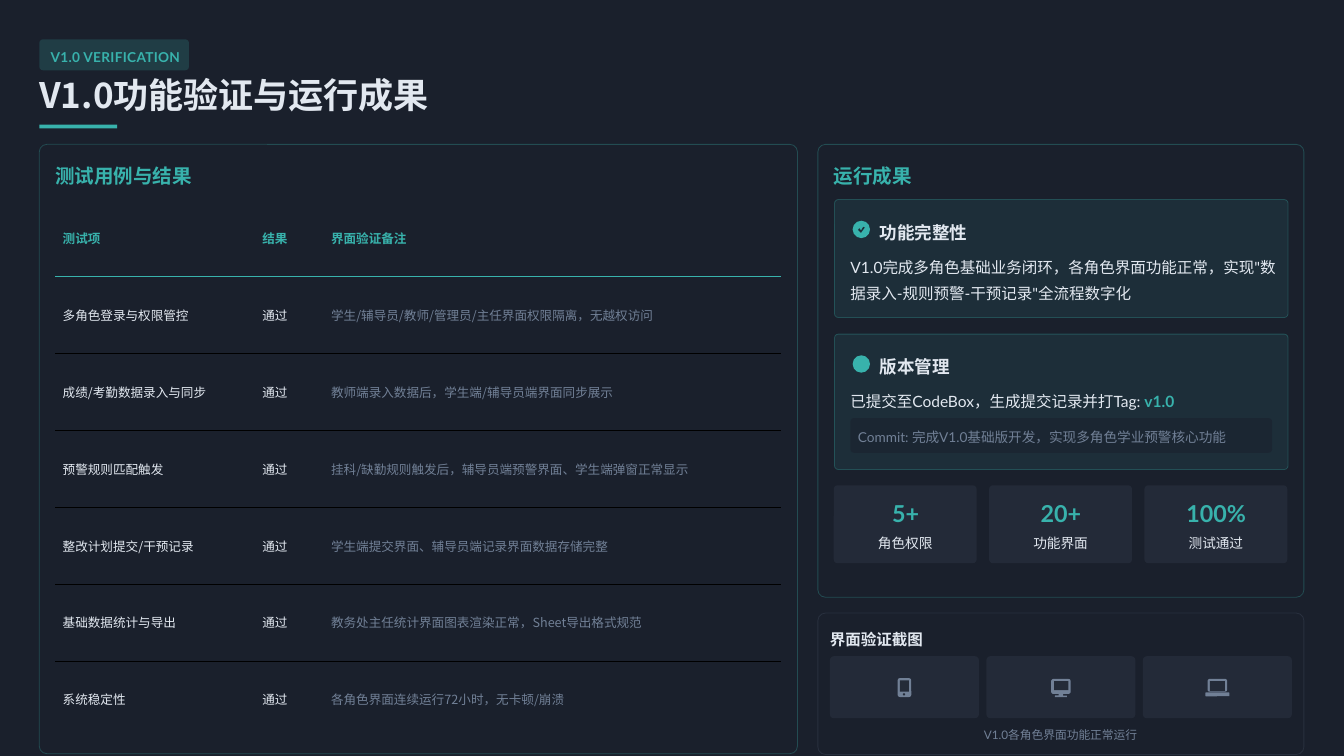
import pptx
import pptx.util
import pptx.dml.color
import pptx.enum.shapes
import pptx.enum.text
import pptx.oxml.ns
import lxml.etree
from pptx.util import Inches

SHAPES = pptx.enum.shapes.MSO_SHAPE
CENTER = pptx.enum.text.PP_ALIGN.CENTER
MIDDLE = pptx.enum.text.MSO_ANCHOR.MIDDLE
LATO, NOTO = "Lato", "Noto Sans CJK SC"
TEAL, LIGHT, MUTED, SLATE, NAVY = "38B2AC", "E2E8F0", "718096", "4A5568", "1A202C"
CARD_TINT, TILE_TINT = "1D2F39", "242B38"
NO_GRID_STYLE = "{2D5ABB26-0587-4C30-8999-92F81FD0307C}"

TESTS = [
    ("测试项", "结果", "界面验证备注"),
    ("多角色登录与权限管控", "通过", "学生/辅导员/教师/管理员/主任界面权限隔离，无越权访问"),
    ("成绩/考勤数据录入与同步", "通过", "教师端录入数据后，学生端/辅导员端界面同步展示"),
    ("预警规则匹配触发", "通过", "挂科/缺勤规则触发后，辅导员端预警界面、学生端弹窗正常显示"),
    ("整改计划提交/干预记录", "通过", "学生端提交界面、辅导员端记录界面数据存储完整"),
    ("基础数据统计与导出", "通过", "教务处主任统计界面图表渲染正常，Sheet导出格式规范"),
    ("系统稳定性", "通过", "各角色界面连续运行72小时，无卡顿/崩溃"),
]
TEST_COLUMNS = (2.64, 0.91, 6.05)
TEST_ROW = 1.017
PANELS = [
    (0.52, 1.91, 10.03, 8.06, TEAL),
    (10.82, 1.91, 6.43, 5.99, TEAL),
    (10.82, 8.11, 6.43, 1.87, SLATE),
]
PANEL_TITLES = [("测试用例与结果", 0.73, 9.74), ("运行成果", 11.03, 6.13)]
CARDS = [
    ("功能完整性", 2.64, 1.56, 0.67,
     [("V1.0完成多角色基础业务闭环，各角色界面功能正常，实现\"数据录入-规则预警-干预记录\"全流程数字化", None)]),
    ("版本管理", 4.42, 1.79, 0.33,
     [("已提交至CodeBox，生成提交记录并打Tag: ", None), ("v1.0", TEAL)]),
]
COMMIT = "Commit: 完成V1.0基础版开发，实现多角色学业预警核心功能"
STATS = [("5+", "角色权限"), ("20+", "功能界面"), ("100%", "测试通过")]
SCREENSHOTS = [
    [(SHAPES.ROUNDED_RECTANGLE, -0.09, 0, 0.18, 0.25, MUTED),
     (SHAPES.RECTANGLE, -0.06, 0.03, 0.12, 0.15, TILE_TINT),
     (SHAPES.OVAL, -0.02, 0.2, 0.03, 0.03, TILE_TINT)],
    [(SHAPES.ROUNDED_RECTANGLE, -0.13, 0.01, 0.26, 0.2, MUTED),
     (SHAPES.RECTANGLE, -0.09, 0.04, 0.19, 0.12, TILE_TINT),
     (SHAPES.RECTANGLE, -0.03, 0.2, 0.06, 0.04, MUTED),
     (SHAPES.ROUNDED_RECTANGLE, -0.08, 0.23, 0.16, 0.02, MUTED)],
    [(SHAPES.ROUNDED_RECTANGLE, -0.13, 0.01, 0.26, 0.17, MUTED),
     (SHAPES.RECTANGLE, -0.1, 0.04, 0.2, 0.13, TILE_TINT),
     (SHAPES.ROUNDED_RECTANGLE, -0.16, 0.19, 0.32, 0.05, MUTED)],
]


def rgb(value):
    return pptx.dml.color.RGBColor.from_string(value)


def paint(fill, color, alpha=100):
    fill.solid()
    fill.fore_color.rgb = rgb(color)
    if alpha < 100:
        node = fill._xPr.find(".//" + pptx.oxml.ns.qn("a:srgbClr"))
        lxml.etree.SubElement(node, pptx.oxml.ns.qn("a:alpha"), val=str(alpha * 1000))


def dress(shape, color=None, alpha=100, border=None):
    shape.shadow.inherit = False
    if color:
        paint(shape.fill, color, alpha)
    else:
        shape.fill.background()
    if border:
        shape.line.width = pptx.util.Pt(0.8)
        paint(shape.line.fill, border, 30)
    else:
        shape.line.fill.background()


def block(kind, left, top, width, height, color=None, alpha=100, border=None, radius=None):
    shape = slide.shapes.add_shape(kind, Inches(left), Inches(top), Inches(width), Inches(height))
    if radius:
        shape.adjustments[0] = radius / min(width, height)
    dress(shape, color, alpha, border)


def rounded(left, top, width, height, color=None, alpha=100, border=None, radius=0.05):
    block(SHAPES.ROUNDED_RECTANGLE, left, top, width, height, color, alpha, border, radius)


def style(paragraph, size, color, bold=False, family=LATO, tracking=None):
    font = paragraph.font
    font.size, font.bold, font.name = pptx.util.Pt(size), bold, family
    font.color.rgb = rgb(color)
    lxml.etree.SubElement(font._rPr, pptx.oxml.ns.qn("a:ea"), typeface=NOTO)
    if tracking:
        font._rPr.set("spc", str(tracking))


def write(parts, left, top, width, height, size, color, bold=False,
          spacing=1.2, align=None, family=LATO, tracking=None):
    frame = slide.shapes.add_textbox(Inches(left), Inches(top), Inches(width), Inches(height)).text_frame
    frame.margin_left = frame.margin_right = frame.margin_top = frame.margin_bottom = 0
    frame.word_wrap, frame.vertical_anchor = True, MIDDLE
    paragraph = frame.paragraphs[0]
    paragraph.line_spacing, paragraph.alignment = spacing, align
    style(paragraph, size, color, bold, family, tracking)
    for words, accent in [(parts, None)] if isinstance(parts, str) else parts:
        run = paragraph.add_run()
        run.text = words
        if accent:
            run.font.bold, run.font.color.rgb = True, rgb(accent)


def underline(cell, color, width):
    line = lxml.etree.Element(pptx.oxml.ns.qn("a:lnB"), w=str(pptx.util.Pt(width)))
    fill = lxml.etree.SubElement(line, pptx.oxml.ns.qn("a:solidFill"))
    lxml.etree.SubElement(fill, pptx.oxml.ns.qn("a:srgbClr"), val=color)
    cell._tc.get_or_add_tcPr().insert(0, line)


def add_tests(left, top):
    table = slide.shapes.add_table(
        len(TESTS), len(TEST_COLUMNS), Inches(left), Inches(top),
        Inches(sum(TEST_COLUMNS)), Inches(TEST_ROW * len(TESTS))).table
    table.first_row = table.horz_banding = False
    table._tbl.tblPr.find(pptx.oxml.ns.qn("a:tableStyleId")).text = NO_GRID_STYLE
    for column, width in zip(table.columns, TEST_COLUMNS):
        column.width = Inches(width)
    for r, test in enumerate(TESTS):
        table.rows[r].height = Inches(TEST_ROW)
        for c, words in enumerate(test):
            cell = table.cell(r, c)
            cell.text, cell.vertical_anchor = words, MIDDLE
            cell.fill.background()
            color = TEAL if r == 0 else MUTED if c == 2 else LIGHT
            style(cell.text_frame.paragraphs[0], 12, color, r == 0, NOTO)
            if r == 0:
                underline(cell, TEAL, 1.6)
            elif r < len(TESTS) - 1:
                underline(cell, "000000", 0.8)


deck = pptx.Presentation()
deck.slide_width, deck.slide_height = Inches(17.78), Inches(10)
slide = deck.slides.add_slide(deck.slide_layouts[6])
paint(slide.background.fill, NAVY)

rounded(0.52, 0.52, 1.98, 0.41, TEAL, 20)
write("V1.0 VERIFICATION", 0.67, 0.61, 1.76, 0.24, 13, TEAL, True, tracking=30)
write("V1.0功能验证与运行成果", 0.52, 1.03, 16.98, 0.52, 33.4, LIGHT, True, 0.9, family=NOTO)
block(SHAPES.RECTANGLE, 0.52, 1.65, 1.03, 0.05, TEAL)

for left, top, width, height, border in PANELS:
    rounded(left, top, width, height, border=border, radius=0.1)
for title, left, width in PANEL_TITLES:
    write(title, left, 2.12, width, 0.36, 18.6, TEAL, True)
add_tests(0.73, 2.64)

for title, top, height, body_height, body in CARDS:
    rounded(11.04, top, 6, height, TEAL, 10, TEAL)
    block(SHAPES.OVAL, 11.28, top + 0.28, 0.23, 0.23, TEAL)
    write(title, 11.64, top + 0.21, 1.5, 0.36, 16.7, LIGHT, True, 1.3)
    write(body, 11.25, top + 0.68, 5.68, body_height, 14.8, LIGHT, spacing=1.4)
tick = slide.shapes.build_freeform(Inches(11.35), Inches(3.04), scale=1.0)
tick.add_line_segments([(Inches(x), Inches(y)) for x, y in
                        [(11.37, 3.02), (11.39, 3.05), (11.42, 3), (11.44, 3.01), (11.39, 3.08)]])
dress(tick.convert_to_shape(), CARD_TINT)
rounded(11.25, 5.53, 5.58, 0.46, NAVY, 50)
write(COMMIT, 11.35, 5.63, 5.46, 0.26, 13, MUTED)

for i, (figure, label) in enumerate(STATS):
    left = 11.03 + i * 2.055
    rounded(left, 6.42, 1.89, 1.03, SLATE, 20)
    write(figure, left + 0.08, 6.57, 1.74, 0.41, 22.2, TEAL, True, 1.1, CENTER)
    write(label, left + 0.11, 7.03, 1.67, 0.26, 13, LIGHT, align=CENTER)

write("界面验证截图", 10.98, 8.27, 6.21, 0.31, 14.8, LIGHT, True, 1.3)
for i, device in enumerate(SCREENSHOTS):
    left = 10.98 + i * 2.07
    rounded(left, 8.68, 1.97, 0.82, SLATE, 20)
    for kind, dx, dy, width, height, color in device:
        block(kind, left + 0.985 + dx, 8.97 + dy, width, height, color)
write("V1.0各角色界面功能正常运行", 10.94, 9.61, 6.18, 0.21, 11.2, MUTED, spacing=1.1, align=CENTER)

deck.save("out.pptx")
